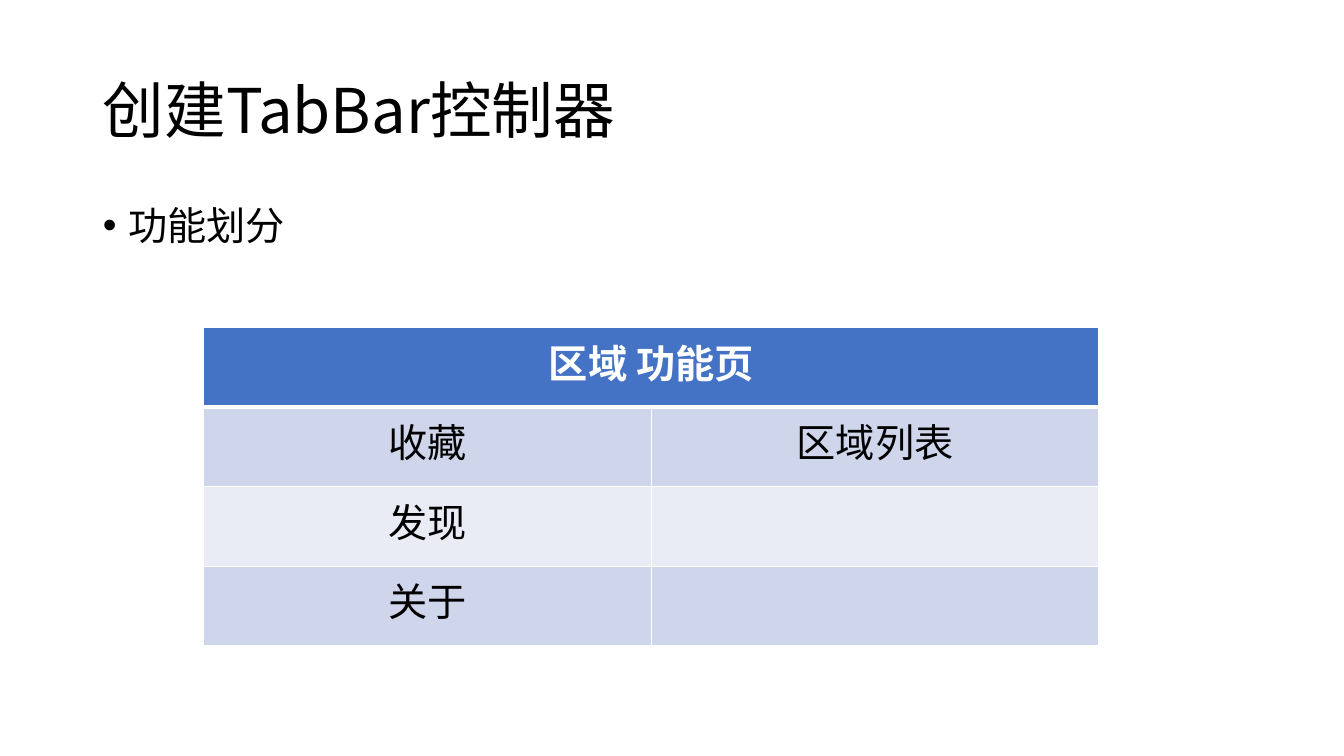
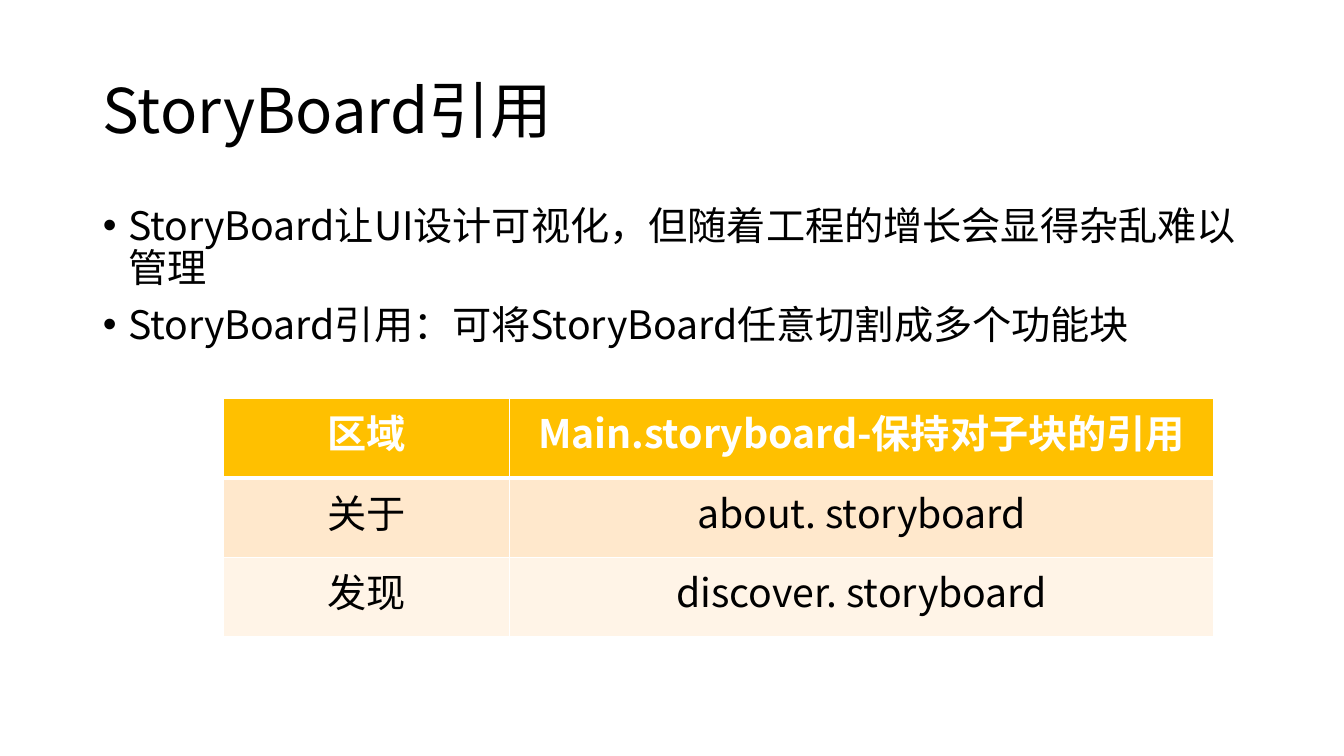
from lxml import etree
from pptx import Presentation
from pptx.dml.color import RGBColor
from pptx.enum.text import MSO_ANCHOR, MSO_AUTO_SIZE, PP_ALIGN
from pptx.oxml.ns import qn
from pptx.util import Inches, Pt

FONT = "Noto Sans CJK SC"
COLORS = {
    "text": "000000",
    "white": "FFFFFF",
    "blue": ["4472C4", "CFD5EA", "E9EBF5"],
    "gold": ["FFC000", "FFE8CC", "FFF4E7"],
}
ROW_HEIGHT = 0.79

PAGES = [
    {
        "title": "创建TabBar控制器",
        "bullets": ["功能划分"],
        "body_height": 0.66,
        "table_at": (2.02, 3.25),
        "columns": [4.44, 4.44],
        "palette": "blue",
        "rows": [["区域 功能页"], ["收藏", "区域列表"], ["发现", ""], ["关于", ""]],
    },
    {
        "title": "StoryBoard引用",
        "bullets": [
            "StoryBoard让UI设计可视化，但随着工程的增长会显得杂乱难以管理",
            "StoryBoard引用：可将StoryBoard任意切割成多个功能块",
        ],
        "body_height": 4.76,
        "table_at": (2.22, 3.95),
        "columns": [2.83, 6.99],
        "palette": "gold",
        "rows": [
            ["区域", "Main.storyboard-保持对子块的引用"],
            ["关于", "about. storyboard"],
            ["发现", "discover. storyboard"],
        ],
    },
]


def add_span(para, text, size, color=COLORS["text"], bold=False):
    span = para.add_run()
    span.text = text
    span.font.name = FONT
    span.font.size = Pt(size)
    span.font.bold = bold
    span.font.color.rgb = RGBColor.from_string(color)
    etree.SubElement(span.font._element, qn("a:ea"), typeface=FONT)


def set_borders(cell, top, bottom):
    properties = cell._tc.get_or_add_tcPr()
    widths = {"lnL": 1, "lnR": 1, "lnT": top, "lnB": bottom}
    for position, (side, width) in enumerate(widths.items()):
        line = etree.Element(qn(f"a:{side}"), w=str(Pt(width)))
        fill = etree.SubElement(line, qn("a:solidFill"))
        etree.SubElement(fill, qn("a:srgbClr"), val=COLORS["white"])
        properties.insert(position, line)


deck = Presentation()
deck.slide_width = Inches(13.33)
deck.slide_height = Inches(7.5)

for content in PAGES:
    page = deck.slides.add_slide(deck.slide_layouts[1])
    title, body = page.placeholders
    frames = [(title, 0.4, 1.45, MSO_ANCHOR.MIDDLE), (body, 2, content["body_height"], MSO_ANCHOR.TOP)]
    for box, top, height, anchor in frames:
        box.left, box.top = Inches(0.92), Inches(top)
        box.width, box.height = Inches(11.5), Inches(height)
        box.text_frame.word_wrap = True
        box.text_frame.auto_size = MSO_AUTO_SIZE.NONE
        box.text_frame.vertical_anchor = anchor

    para = title.text_frame.paragraphs[0]
    para.alignment = PP_ALIGN.LEFT
    para.line_spacing = 0.9
    add_span(para, content["title"], 44)

    for index, bullet in enumerate(content["bullets"]):
        para = body.text_frame.add_paragraph() if index else body.text_frame.paragraphs[0]
        para.line_spacing = 0.9
        para.space_before = Pt(10 if index else 0)
        indents = para._p.get_or_add_pPr()
        indents.set("marL", str(Inches(0.25)))
        indents.set("indent", str(Inches(-0.25)))
        add_span(para, bullet, 28)

    rows, columns = content["rows"], content["columns"]
    left, top = content["table_at"]
    table = page.shapes.add_table(
        len(rows), len(columns), Inches(left), Inches(top),
        Inches(sum(columns)), Inches(ROW_HEIGHT * len(rows)),
    ).table
    for column, width in zip(table.columns, columns):
        column.width = Inches(width)
    header, odd, even = COLORS[content["palette"]]
    for row_index, texts in enumerate(rows):
        table.rows[row_index].height = Inches(ROW_HEIGHT)
        is_header = row_index == 0
        color = header if is_header else odd if row_index % 2 else even
        for column_index in range(len(columns)):
            cell = table.cell(row_index, column_index)
            cell.fill.solid()
            cell.fill.fore_color.rgb = RGBColor.from_string(color)
            set_borders(cell, 3 if row_index == 1 else 1, 3 if is_header else 1)
        if len(texts) < len(columns):
            table.cell(row_index, 0).merge(table.cell(row_index, len(columns) - 1))
        for column_index, text in enumerate(texts):
            if text:
                para = table.cell(row_index, column_index).text_frame.paragraphs[0]
                para.alignment = PP_ALIGN.CENTER
                add_span(para, text, 28, COLORS["white" if is_header else "text"], is_header)

deck.save("out.pptx")
